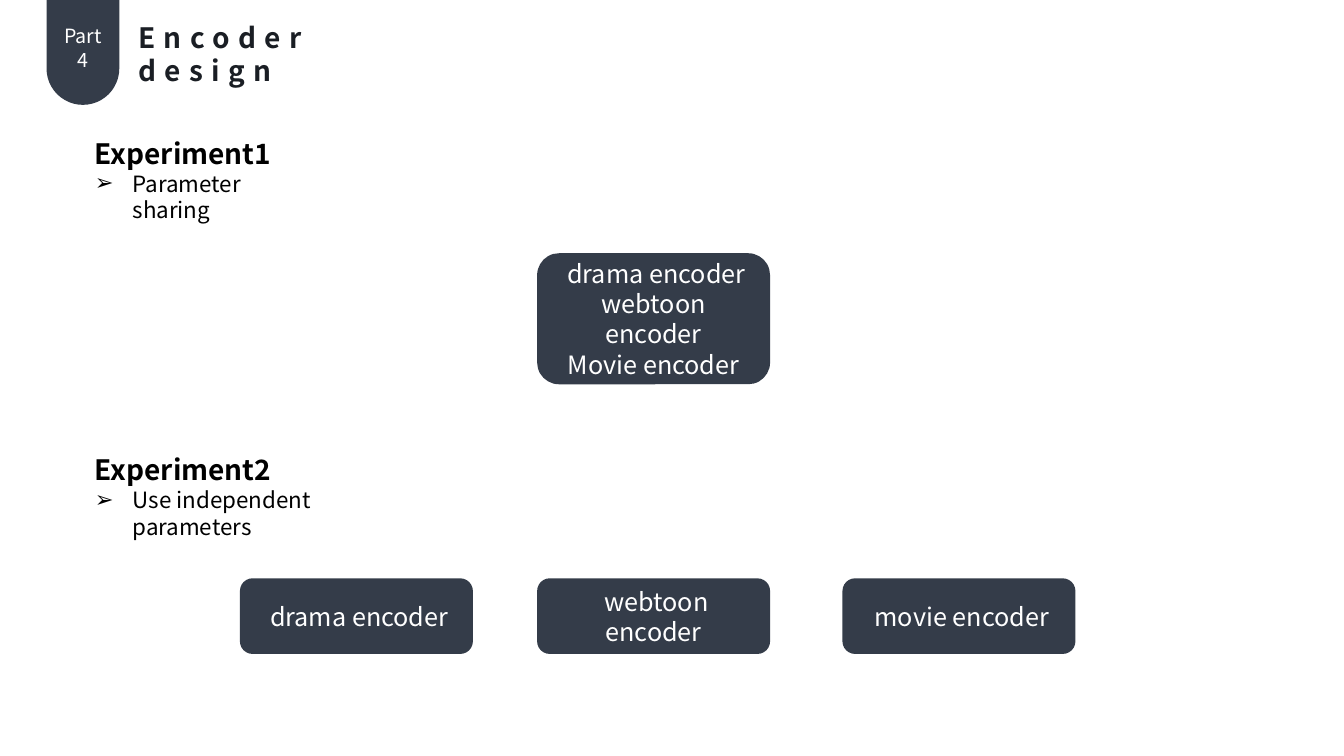
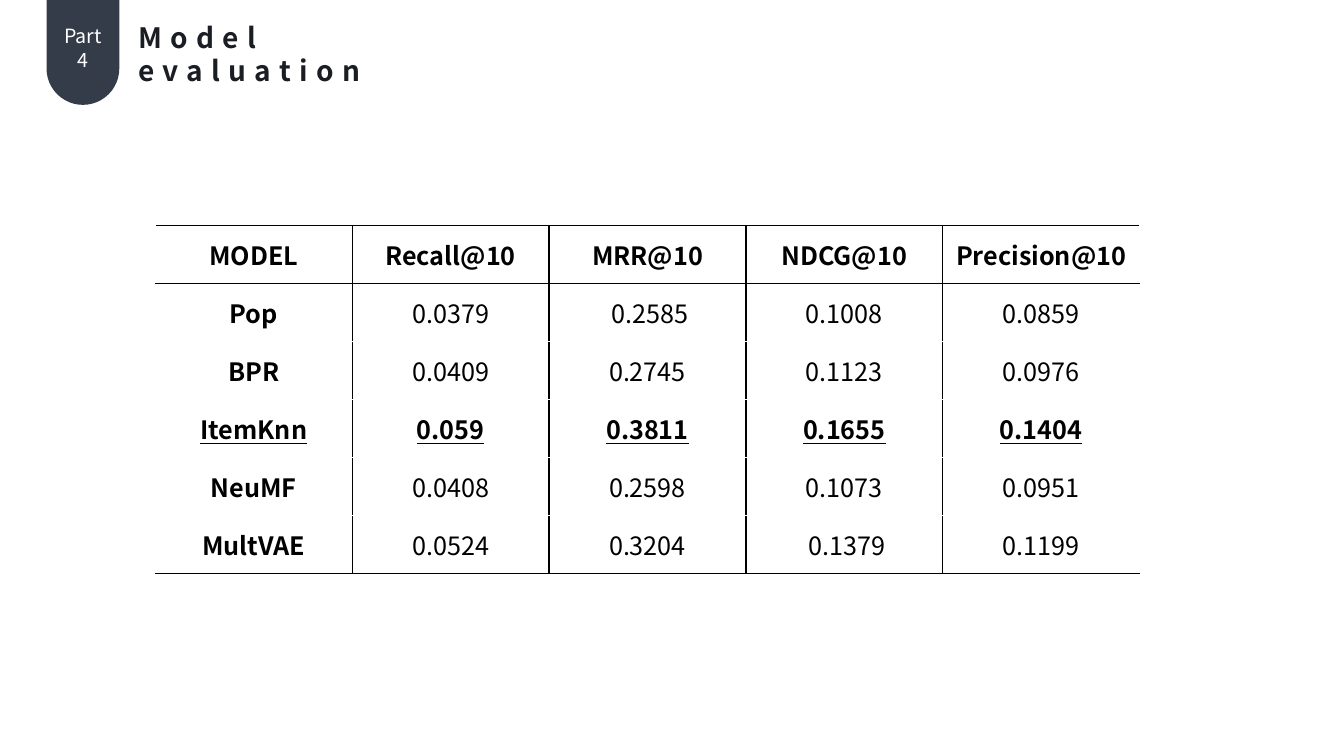
from dataclasses import dataclass

from lxml.etree import SubElement
from pptx import Presentation
from pptx.dml.color import RGBColor
from pptx.enum.shapes import MSO_SHAPE
from pptx.enum.text import MSO_ANCHOR, MSO_AUTO_SIZE, PP_ALIGN
from pptx.oxml.ns import qn
from pptx.util import Pt


@dataclass(frozen=True)
class Theme:
    font: str = "Noto Sans CJK KR"
    slate: RGBColor = RGBColor(0x34, 0x3C, 0x49)
    ink: RGBColor = RGBColor(0x1A, 0x1E, 0x24)
    black: RGBColor = RGBColor(0, 0, 0)
    white: RGBColor = RGBColor(0xFF, 0xFF, 0xFF)
    heading: int = 20
    label: int = 18
    body: int = 16
    badge: int = 14
    title_spacing: int = 6
    hanging: int = 27
    rule: int = 1


@dataclass(frozen=True)
class Box:
    left: float
    top: float
    width: float
    height: float

    def lengths(self):
        return Pt(self.left), Pt(self.top), Pt(self.width), Pt(self.height)


THEME = Theme()
BADGE = Box(33.2, 0, 52, 74.9)
SHARED_ENCODER = Box(383.7, 180.9, 166.4, 93.6)
ENCODER_LEFTS = (171.4, 383.7, 601.8)
ENCODER_TOP, ENCODER_HEIGHT = 413.1, 54
RESULTS = Box(111, 161.2, 703, 248.4)
BEST_MODEL = "ItemKnn"
SCORES = (
    ("MODEL", "Recall@10", "MRR@10", "NDCG@10", "Precision@10"),
    ("Pop", "0.0379", " 0.2585", "0.1008", "0.0859"),
    ("BPR", "0.0409", "0.2745", "0.1123", "0.0976"),
    (BEST_MODEL, "0.059", "0.3811", "0.1655", "0.1404"),
    ("NeuMF", "0.0408", "0.2598", "0.1073", "0.0951"),
    ("MultVAE", "0.0524", "0.3204", " 0.1379", "0.1199"),
)


def write(paragraph, text, size, color, bold=False, underline=False):
    run = paragraph.add_run()
    run.text = text
    run.font.name = THEME.font
    run.font.size = Pt(size)
    run.font.color.rgb = color
    run.font.bold = bold
    run.font.underline = underline
    return run


def place(region, box):
    region.left, region.top, region.width, region.height = box.lengths()
    frame = region.text_frame
    frame.word_wrap = True
    frame.auto_size = MSO_AUTO_SIZE.SHAPE_TO_FIT_TEXT
    frame.vertical_anchor = MSO_ANCHOR.TOP
    return frame


def add_slate_shape(slide, preset, box):
    panel = slide.shapes.add_shape(preset, *box.lengths())
    panel.shadow.inherit = False
    panel.fill.solid()
    panel.fill.fore_color.rgb = THEME.slate
    panel.line.fill.background()
    return panel


def add_header(slide, box, part, title, title_width):
    badge = add_slate_shape(slide, MSO_SHAPE.ROUND_2_SAME_RECTANGLE, box)
    badge.adjustments[0] = 0.5
    badge.adjustments[1] = 0
    badge.rotation = 180

    part_box = Box(box.left + 2, box.top + 13.7, box.width - 4, 24.2)
    part_label = slide.shapes.add_textbox(*part_box.lengths())
    paragraph = place(part_label, part_box).paragraphs[0]
    paragraph.alignment = PP_ALIGN.CENTER
    write(paragraph, part, THEME.badge, THEME.white)

    title_box = Box(box.left + box.width + 6.2, box.top + 10.8, title_width, 31.5)
    paragraph = place(slide.shapes.title, title_box).paragraphs[0]
    paragraph.alignment = PP_ALIGN.LEFT
    run = write(paragraph, title, THEME.heading, THEME.ink, bold=True)
    run.font._element.set("spc", str(THEME.title_spacing * 100))


def set_bullet(paragraph, character=None):
    properties = paragraph._p.get_or_add_pPr()
    hanging = Pt(THEME.hanging) if character else 0
    properties.set("marL", str(hanging))
    properties.set("indent", str(-hanging))
    if character:
        SubElement(properties, qn("a:buChar")).set("char", character)
    else:
        SubElement(properties, qn("a:buNone"))
    paragraph.space_before = Pt(0)


def fill_experiment(placeholder, box, heading, point):
    frame = place(placeholder, box)
    heading_line = frame.paragraphs[0]
    set_bullet(heading_line)
    write(heading_line, heading, THEME.heading, THEME.black, bold=True)
    point_line = frame.add_paragraph()
    set_bullet(point_line, "➢")
    write(point_line, point, THEME.body, THEME.black)


def add_encoder(slide, box, *names):
    encoder = add_slate_shape(slide, MSO_SHAPE.ROUNDED_RECTANGLE, box)
    frame = encoder.text_frame
    frame.word_wrap = True
    frame.vertical_anchor = MSO_ANCHOR.MIDDLE
    for index, name in enumerate(names):
        paragraph = frame.add_paragraph() if index else frame.paragraphs[0]
        paragraph.alignment = PP_ALIGN.CENTER
        write(paragraph, name, THEME.label, THEME.white)


def set_borders(cell, **colors):
    properties = cell._tc.get_or_add_tcPr()
    for side in "LRTB":
        border = SubElement(properties, qn(f"a:ln{side}"), w=str(Pt(THEME.rule)))
        fill = SubElement(border, qn("a:solidFill"))
        SubElement(fill, qn("a:srgbClr"), val=str(colors[side]))


def add_results(slide, box, rows):
    row_count, column_count = len(rows), len(rows[0])
    table = slide.shapes.add_table(row_count, column_count, *box.lengths()).table
    table.first_row = table.horz_banding = False
    for column in table.columns:
        column.width = Pt(box.width / column_count)
    for r, values in enumerate(rows):
        table.rows[r].height = Pt(box.height / row_count)
        best = values[0] == BEST_MODEL
        for c, value in enumerate(values):
            cell = table.cell(r, c)
            set_borders(
                cell,
                L=THEME.black if c else THEME.white,
                R=THEME.black if c < column_count - 1 else THEME.white,
                T=THEME.black if r < 2 else THEME.white,
                B=THEME.black if r in (0, row_count - 1) else THEME.white,
            )
            cell.fill.solid()
            cell.fill.fore_color.rgb = THEME.white
            cell.vertical_anchor = MSO_ANCHOR.MIDDLE
            paragraph = cell.text_frame.paragraphs[0]
            paragraph.alignment = PP_ALIGN.CENTER
            bold = r == 0 or c == 0 or best
            write(paragraph, value, THEME.label, THEME.black, bold, best)


def build_encoder_slide(deck):
    slide = deck.slides.add_slide(deck.slide_layouts[3])
    add_header(slide, BADGE, "Part 4", "Encoder design", 226.8)
    first, second = slide.placeholders[1], slide.placeholders[2]
    fill_experiment(first, Box(60.5, 93.6, 162, 51), "Experiment1", "Parameter sharing")
    fill_experiment(
        second, Box(60.5, 319.7, 232.6, 51), "Experiment2", "Use independent parameters"
    )
    add_encoder(
        slide, SHARED_ENCODER, " drama encoder", "webtoon encoder", "Movie encoder"
    )
    names = (" drama encoder", " webtoon encoder", " movie encoder")
    for left, name in zip(ENCODER_LEFTS, names):
        box = Box(left, ENCODER_TOP, SHARED_ENCODER.width, ENCODER_HEIGHT)
        add_encoder(slide, box, name)


def build_evaluation_slide(deck):
    slide = deck.slides.add_slide(deck.slide_layouts[5])
    add_header(slide, BADGE, "Part 4", "Model evaluation", 259.2)
    add_results(slide, RESULTS, SCORES)


def main():
    deck = Presentation()
    deck.slide_width, deck.slide_height = Pt(960), Pt(540)
    build_encoder_slide(deck)
    build_evaluation_slide(deck)
    deck.save("out.pptx")


if __name__ == "__main__":
    main()
